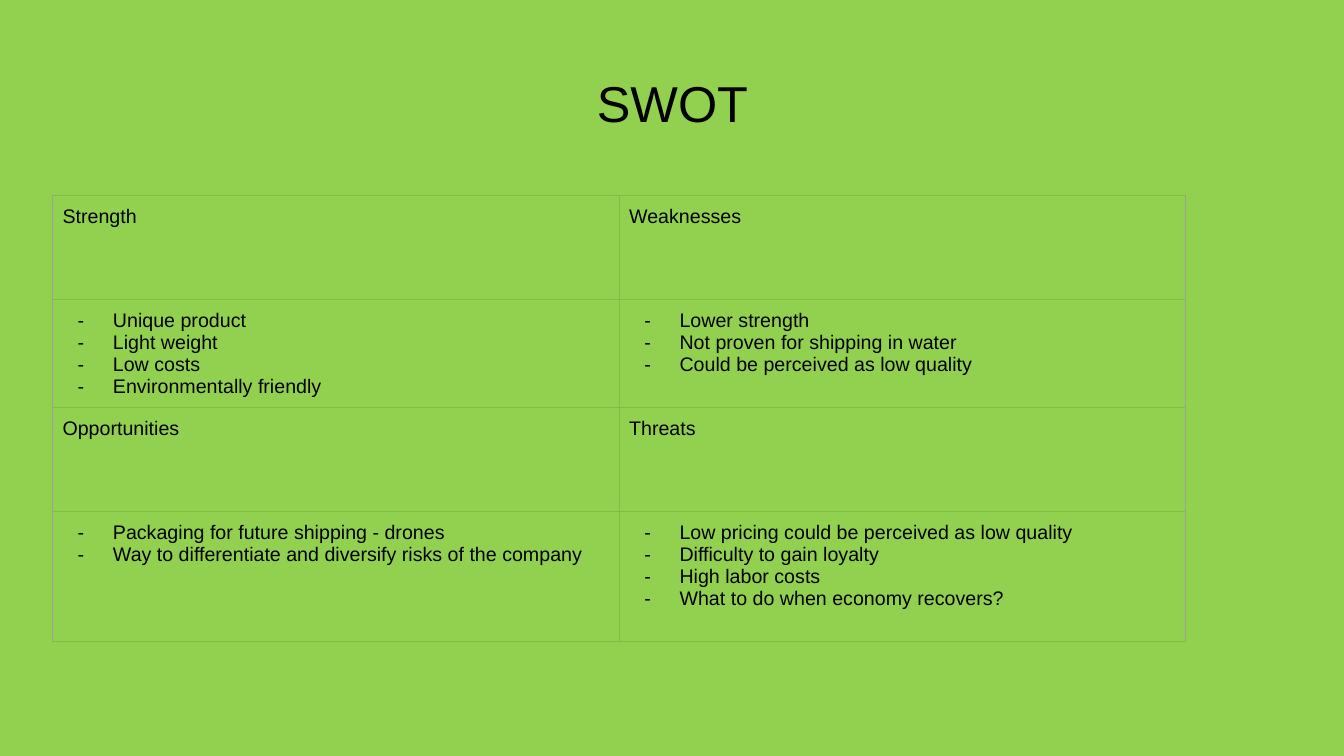
from lxml import etree
from pptx import Presentation
from pptx.dml.color import RGBColor
from pptx.enum.text import MSO_ANCHOR, PP_ALIGN
from pptx.oxml.ns import qn
from pptx.util import Inches, Pt

CENTER = PP_ALIGN.CENTER
LEFT = PP_ALIGN.LEFT
MIDDLE = MSO_ANCHOR.MIDDLE
TOP = MSO_ANCHOR.TOP
FONT = "Arial"
BLACK = "000000"
GREEN = "92D050"
LEAF = "83BB48"
GREY = "9E9E9E"

HEADS = [["Strength", "Weaknesses"], ["Opportunities", "Threats"]]
POINTS = [
    [
        ["Unique product", "Light weight", "Low costs", "Environmentally friendly"],
        ["Lower strength", "Not proven for shipping in water",
         "Could be perceived as low quality"],
    ],
    [
        ["Packaging for future shipping - drones",
         "Way to differentiate and diversify risks of the company"],
        ["Low pricing could be perceived as low quality", "Difficulty to gain loyalty",
         "High labor costs", "What to do when economy recovers?"],
    ],
]
ROWS = [1.03, 1.07, 1.03, 1.29]


def color(code):
    return RGBColor.from_string(code)


def add_dash(para):
    props = para._p.get_or_add_pPr()
    props.set("marL", str(Inches(0.5)))
    props.set("indent", str(Inches(-0.35)))
    tint = etree.SubElement(props, qn("a:buClr"))
    etree.SubElement(tint, qn("a:srgbClr"), val=BLACK)
    etree.SubElement(props, qn("a:buFont"), typeface=FONT)
    etree.SubElement(props, qn("a:buChar"), char="-")


def write(frame, lines, size=14, align=LEFT, space=None, dash=False):
    frame.word_wrap = True
    for i, line in enumerate(lines):
        para = frame.paragraphs[0] if i == 0 else frame.add_paragraph()
        para.alignment = align
        if space:
            para.line_spacing = space
        if dash:
            add_dash(para)
        run = para.add_run()
        run.text = line
        run.font.name = FONT
        run.font.size = Pt(size)
        run.font.bold = False
        run.font.color.rgb = color(BLACK)


def add_edge(cell, side, code):
    props = cell._tc.get_or_add_tcPr()
    line = etree.SubElement(props, qn(f"a:ln{side}"), w=str(Pt(0.75)))
    fill = etree.SubElement(line, qn("a:solidFill"))
    etree.SubElement(fill, qn("a:srgbClr"), val=code)


def add_title(slide, left, top, width, height):
    title = slide.shapes.title
    title.left, title.top = Inches(left), Inches(top)
    title.width, title.height = Inches(width), Inches(height)
    frame = title.text_frame
    frame.vertical_anchor = MIDDLE
    write(frame, ["SWOT"], size=36, align=CENTER, space=1.2)


def add_grid(slide, left, top, width):
    count = len(HEADS[0])
    table = slide.shapes.add_table(
        len(ROWS), count, Inches(left), Inches(top), Inches(width), Inches(sum(ROWS))
    ).table
    table.first_row = table.horz_banding = False
    for row, height in zip(table.rows, ROWS):
        row.height = Inches(height)
    for col in table.columns:
        col.width = Inches(width / count)
    for r in range(len(ROWS)):
        for c in range(count):
            cell = table.cell(r, c)
            cell.margin_left = cell.margin_right = Inches(0.1)
            cell.margin_top = cell.margin_bottom = Inches(0.1)
            cell.vertical_anchor = TOP
            add_edge(cell, "L", GREY if c == 0 else LEAF)
            add_edge(cell, "R", GREY if c == count - 1 else LEAF)
            add_edge(cell, "T", LEAF)
            add_edge(cell, "B", LEAF)
            cell.fill.background()
            part, dash = divmod(r, 2)
            lines = POINTS[part][c] if dash else [HEADS[part][c]]
            write(cell.text_frame, lines, dash=bool(dash))


def main():
    deck = Presentation()
    deck.slide_width, deck.slide_height = Inches(13.33), Inches(7.5)
    slide = deck.slides.add_slide(deck.slide_layouts[5])
    back = slide.background.fill
    back.solid()
    back.fore_color.rgb = color(GREEN)
    add_title(slide, 0.92, 0.45, 11.5, 1.02)
    add_grid(slide, 0.52, 1.94, 11.24)
    deck.save("out.pptx")


if __name__ == "__main__":
    main()
